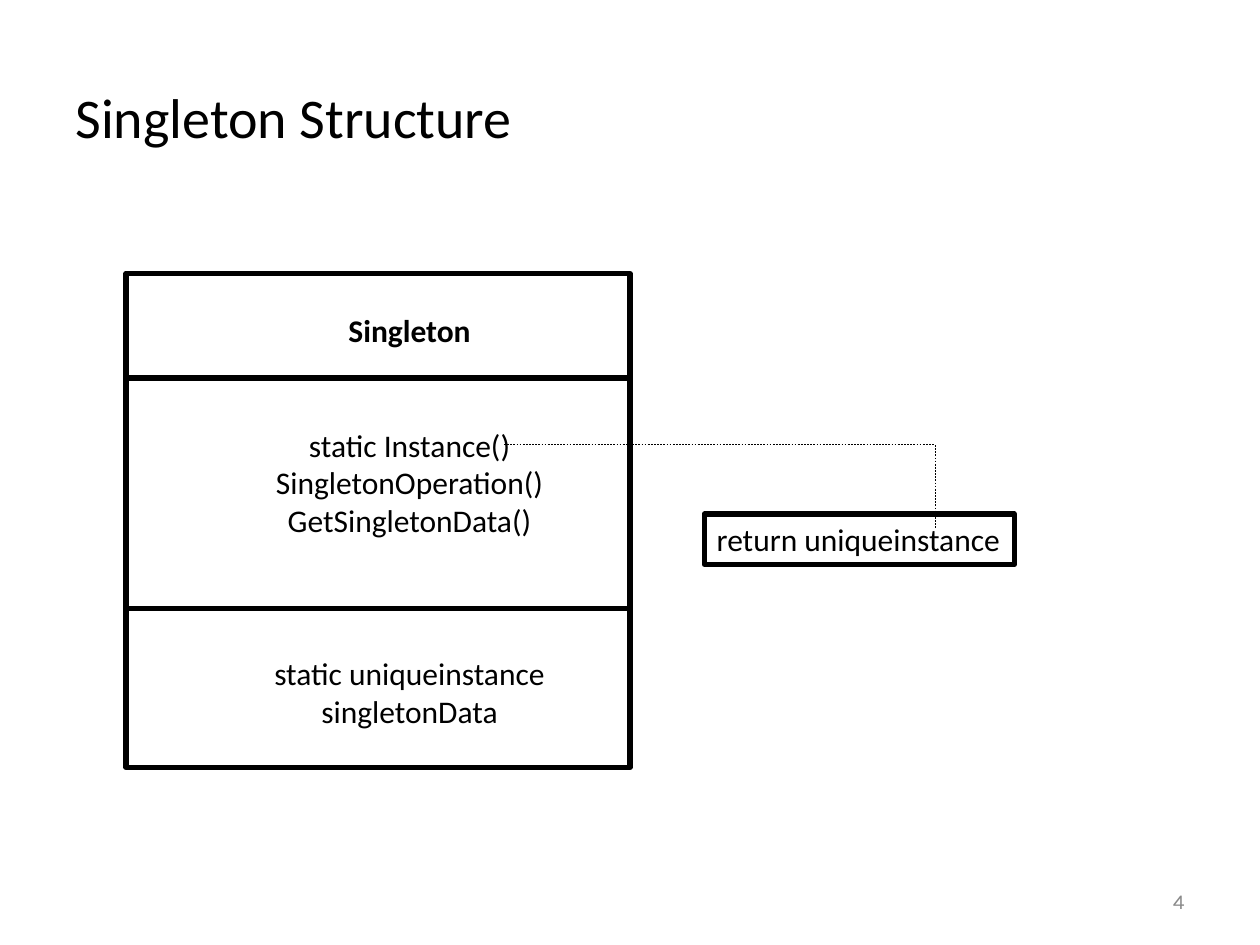
from dataclasses import dataclass
from lxml.etree import SubElement
from pptx import Presentation
from pptx.dml.color import RGBColor
from pptx.enum.dml import MSO_LINE
from pptx.enum.shapes import MSO_CONNECTOR, MSO_SHAPE
from pptx.enum.text import MSO_ANCHOR, PP_ALIGN
from pptx.oxml.ns import qn
from pptx.util import Inches, Pt


@dataclass(frozen=True)
class Theme:
    ink: RGBColor = RGBColor(0, 0, 0)
    paper: RGBColor = RGBColor(255, 255, 255)
    muted: RGBColor = RGBColor(0x89, 0x89, 0x89)
    title: Pt = Pt(32)
    body: Pt = Pt(18)
    small: Pt = Pt(12)
    outline: Pt = Pt(3)
    hairline: Pt = Pt(0.25)


theme = Theme()
deck = Presentation()
deck.slide_width, deck.slide_height = Inches(10), Inches(7.5)
page = deck.slides.add_slide(deck.slide_layouts[6])


def write(box, lines, frame_format, font_format, align=PP_ALIGN.LEFT):
    frame = box.text_frame
    for name, value in frame_format.items():
        setattr(frame, name, value)
    for index, (text, gap, bold) in enumerate(lines):
        para = frame.paragraphs[0] if index == 0 else frame.add_paragraph()
        para.alignment = align
        if gap:
            para.space_before = Pt(gap)
        span = para.add_run()
        span.text = text
        for name, value in {"name": "Calibri", "bold": bold}.items():
            setattr(span.font, name, value)
        for name, value in font_format.items():
            if name == "color":
                span.font.color.rgb = value
            else:
                setattr(span.font, name, value)


def add_frame(left, top, width, height):
    box = page.shapes.add_shape(
        MSO_SHAPE.RECTANGLE, Inches(left), Inches(top), Inches(width), Inches(height)
    )
    box.shadow.inherit = False
    box.fill.solid()
    box.fill.fore_color.rgb = theme.paper
    box.line.color.rgb = theme.ink
    box.line.width = theme.outline
    return box


middle = {"word_wrap": True, "vertical_anchor": MSO_ANCHOR.MIDDLE}
body_font = {"size": theme.body, "color": theme.ink}

title = page.shapes.add_textbox(Inches(0.5), Inches(0.3), Inches(9), Inches(1.25))
write(title, [("Singleton Structure", 0, False)], middle,
      {"size": theme.title, "color": theme.ink})

class_left, class_width = 1, 4
class_box = add_frame(class_left, 2.17, class_width, 3.92)
members = [
    ("Singleton", 0, True),
    ("static Instance()", 44, False),
    ("SingletonOperation()", 0, False),
    ("GetSingletonData()", 0, False),
    ("static uniqueinstance", 66, False),
    ("singletonData", 0, False),
]
write(class_box, members, {**middle, "margin_left": Inches(0.6)}, body_font,
      PP_ALIGN.CENTER)

for height in (3, 4.83):
    divider = page.shapes.add_connector(
        MSO_CONNECTOR.STRAIGHT, Inches(class_left), Inches(height),
        Inches(class_left + class_width), Inches(height)
    )
    divider.line.color.rgb = theme.ink
    divider.line.width = theme.outline
    SubElement(divider._element.spPr, qn("a:effectLst"))

return_box = add_frame(5.59, 4.08, 2.46, 0.4)
write(return_box, [("return uniqueinstance", 0, False)],
      {"word_wrap": False, "vertical_anchor": MSO_ANCHOR.TOP}, body_font)

builder = page.shapes.build_freeform(Inches(4), Inches(3.53))
builder.add_line_segments(
    [(Inches(7.42), Inches(3.53)), (Inches(7.42), Inches(4.19))], close=False
)
note_link = builder.convert_to_shape()
note_link.shadow.inherit = False
note_link.fill.background()
note_link.line.color.rgb = theme.ink
note_link.line.width = theme.hairline
note_link.line.dash_style = MSO_LINE.DASH

page_number = page.shapes.add_textbox(
    Inches(7.17), Inches(6.95), Inches(2.33), Inches(0.4)
)
write(page_number, [("4", 0, False)], middle,
      {"name": "Karla", "size": theme.small, "color": theme.muted}, PP_ALIGN.RIGHT)

deck.save("out.pptx")
